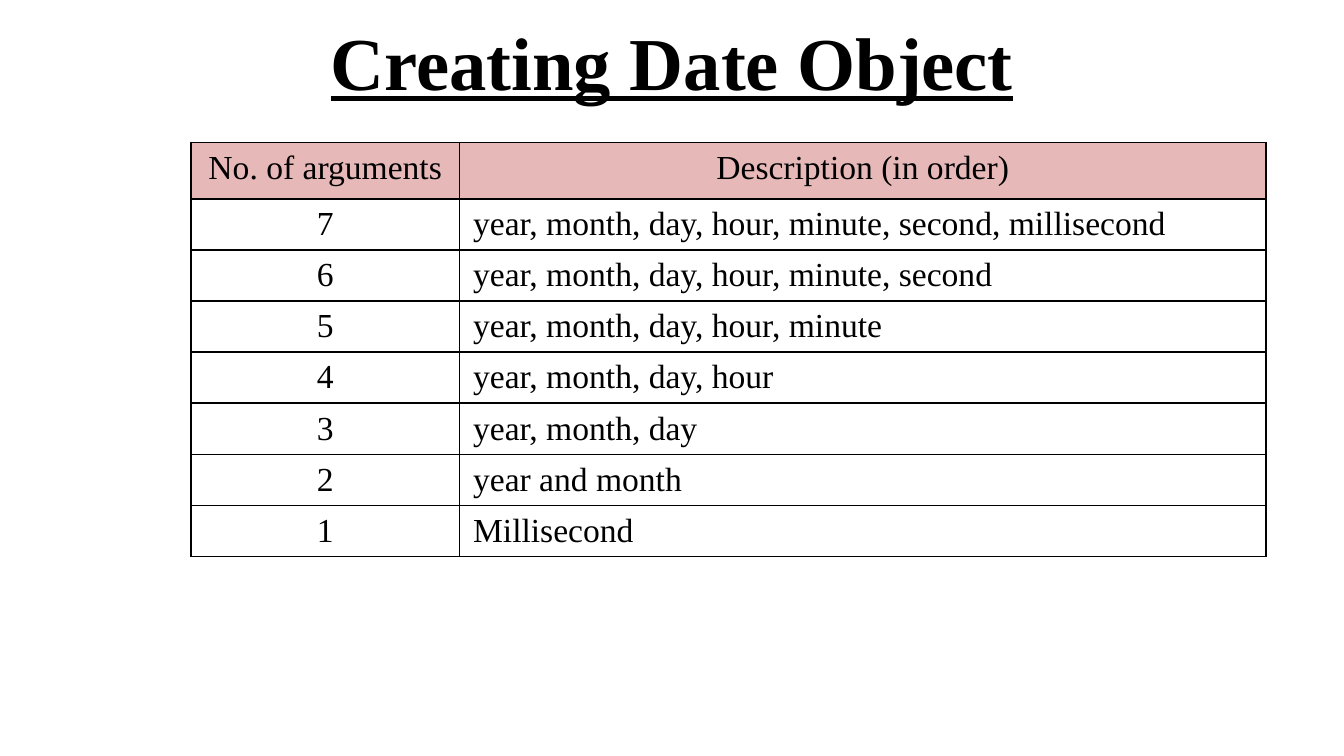
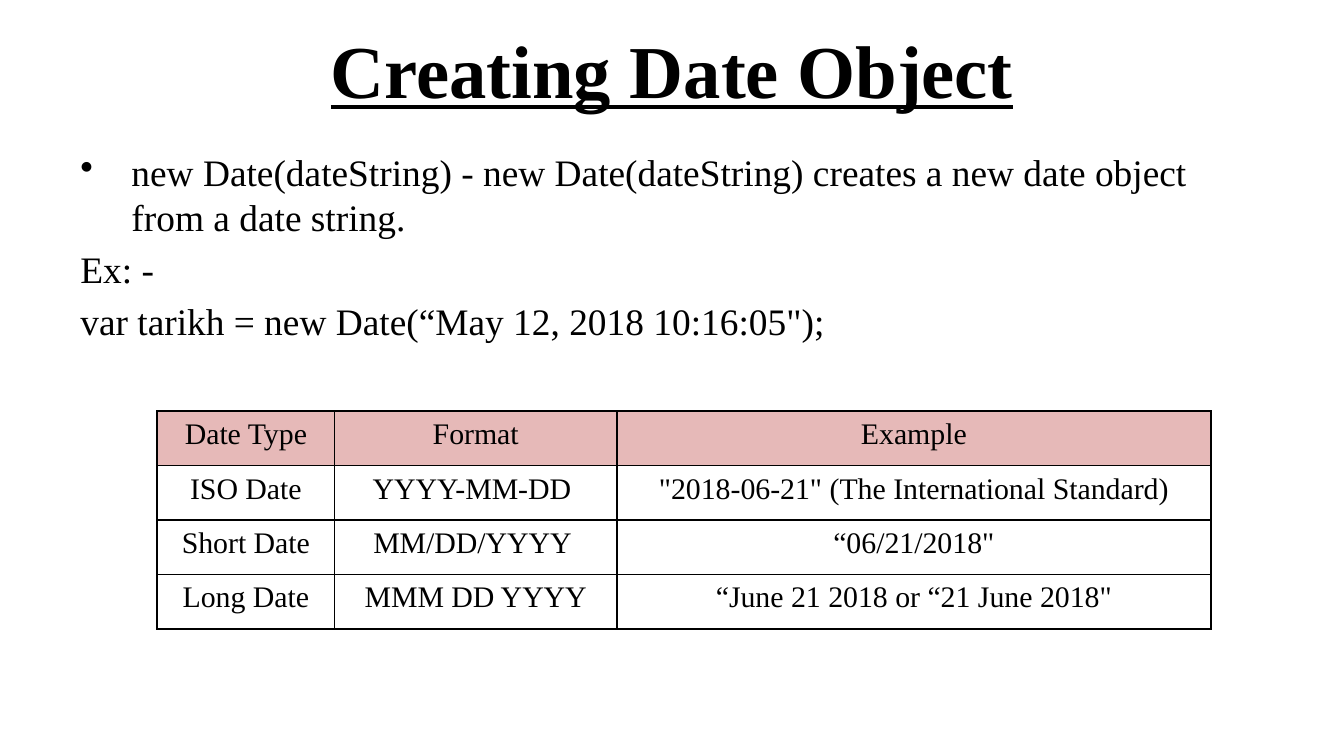
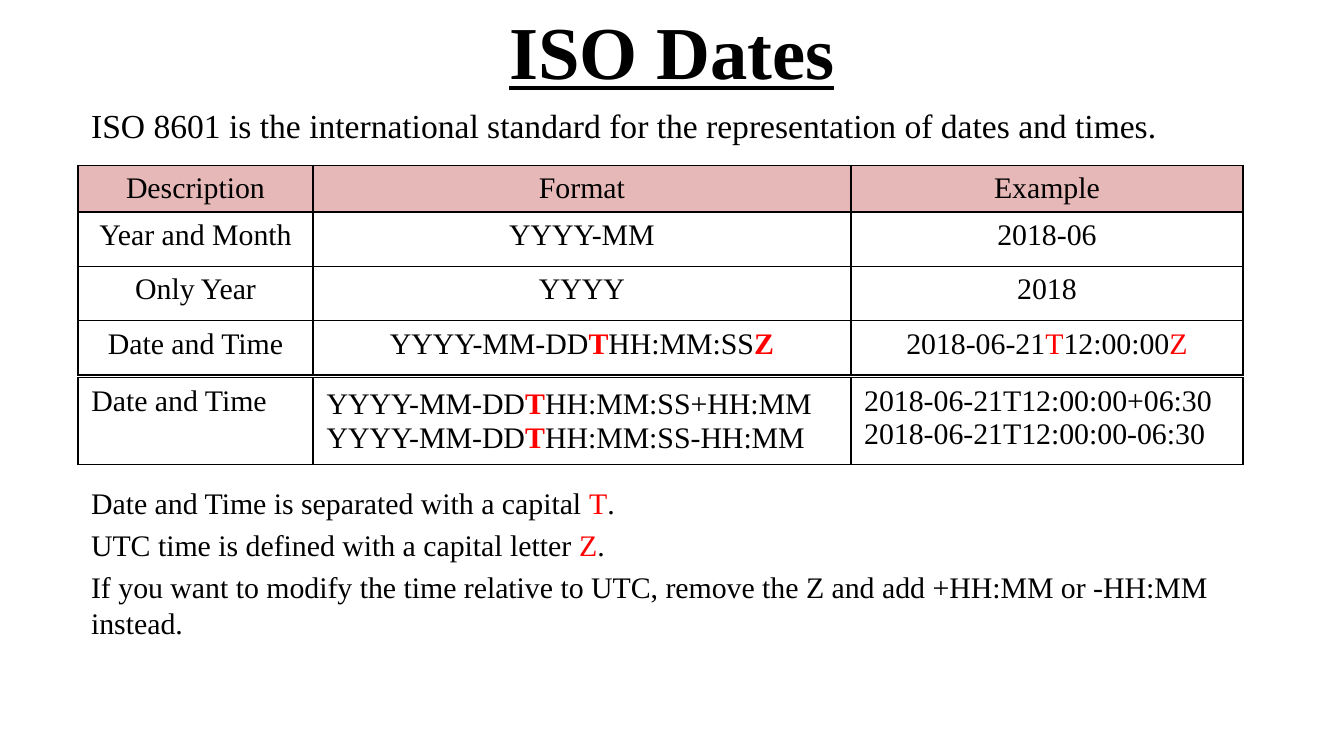
from lxml import etree
from pptx import Presentation
from pptx.dml.color import RGBColor
from pptx.enum import text as t
from pptx.oxml import ns
from pptx.util import Inches, Pt

COLORS = {"ink": "000000", "accent": "FF0000", "header": "E6B9B8"}
FONT = "Times New Roman"
CENTER, LEFT = t.PP_ALIGN.CENTER, t.PP_ALIGN.LEFT
ROW = 1.62 / 4


def rgb(name):
    return RGBColor.from_string(COLORS[name])


def add_bullet(p, indent):
    pPr = p._p.get_or_add_pPr()
    pPr.set("marL", str(Inches(indent)))
    pPr.set("indent", str(-Inches(indent)))
    etree.SubElement(pPr, ns.qn("a:buChar")).set("char", "•")


def write(tf, paragraphs, size=16, bold=False, underline=False, align=LEFT,
          before=0, bullets=()):
    for i, runs in enumerate(paragraphs):
        p = tf.paragraphs[0] if i == 0 else tf.add_paragraph()
        p.alignment = align
        if i and before:
            p.space_before = Pt(before)
        if i in bullets:
            add_bullet(p, 0.38)
        for run in [runs] if isinstance(runs, str) else runs:
            content, style = (run, {}) if isinstance(run, str) else run
            r = p.add_run()
            r.text = content
            r.font.name = FONT
            r.font.size = Pt(style.get("size", size))
            r.font.bold = style.get("bold", bold)
            r.font.underline = underline
            r.font.color.rgb = rgb(style.get("color", "ink"))


def add_borders(cell):
    tcPr = cell._tc.get_or_add_tcPr()
    for i, side in enumerate(("lnL", "lnR", "lnT", "lnB")):
        ln = etree.Element(ns.qn(f"a:{side}"), w=str(Pt(1)))
        fill = etree.SubElement(ln, ns.qn("a:solidFill"))
        etree.SubElement(fill, ns.qn("a:srgbClr")).set("val", COLORS["ink"])
        tcPr.insert(i, ln)


class Deck:
    def __init__(self):
        self.prs = Presentation()
        self.prs.slide_width = Inches(10)
        self.prs.slide_height = Inches(10 * 9 / 16)

    def slide(self, title, top):
        self.s = self.prs.slides.add_slide(self.prs.slide_layouts[6])
        tf = self.box(0.5, top, 9, 0.94)
        tf.vertical_anchor = t.MSO_ANCHOR.MIDDLE
        write(tf, [title], size=40, bold=True, underline=True, align=CENTER)

    def box(self, x, y, w, h):
        sp = self.s.shapes.add_textbox(*map(Inches, (x, y, w, h)))
        sp.text_frame.word_wrap = True
        return sp.text_frame

    def body(self, x, y, w, h, paragraphs, size, bullets=()):
        write(self.box(x, y, w, h), paragraphs, size=size, before=size * 0.2, bullets=bullets)

    def table(self, x, y, height, widths, heights, rows, size=16, aligns=(CENTER,) * 3,
              header=True):
        frame = self.s.shapes.add_table(
            len(rows), len(widths), Inches(x), Inches(y),
            Inches(sum(widths)), Inches(height))
        table = frame.table
        table.first_row = table.horz_banding = False
        for column, width in zip(table.columns, widths):
            column.width = Inches(width)
        for i, (row, row_height) in enumerate(zip(rows, heights)):
            table.rows[i].height = Inches(row_height)
            is_header = header and i == 0
            for j, content in enumerate(row):
                cell = table.cell(i, j)
                cell.margin_bottom = Inches(0.03)
                if is_header:
                    cell.fill.solid()
                    cell.fill.fore_color.rgb = rgb("header")
                else:
                    cell.fill.background()
                add_borders(cell)
                paragraphs = [content] if isinstance(content, str) else content
                write(cell.text_frame, paragraphs, size=size,
                      align=CENTER if is_header else aligns[j])
        frame.height = Inches(height)


def arguments_slide(deck):
    deck.slide("Creating Date Object", -0.02)
    parts = ["year", "month", "day", "hour", "minute", "second", "millisecond"]
    rows = [("No. of arguments", "Description (in order)")]
    rows += [(str(n), ", ".join(parts[:n])) for n in range(7, 2, -1)]
    rows += [("2", "year and month"), ("1", "Millisecond")]
    deck.table(1.42, 1.06, 3.22, [2, 6], [0.42] + [0.31] * 7, rows,
               size=18, aligns=(CENTER, LEFT))


def date_string_slide(deck):
    deck.slide("Creating Date Object", 0.04)
    deck.body(0.5, 1.06, 9, 1.75, [
        "new Date(dateString) - new Date(dateString) creates a new date object "
        "from a date string.",
        "Ex: -",
        "var tarikh = new Date(“May 12, 2018 10:16:05\");",
    ], size=20, bullets=(0,))
    deck.table(1.17, 3.06, 1.62, [1.32, 2.1, 4.42], [ROW] * 4, [
        ("Date Type", "Format", "Example"),
        ("ISO Date", "YYYY-MM-DD ", "\"2018-06-21\" (The International Standard)"),
        ("Short Date", "MM/DD/YYYY ", "“06/21/2018\""),
        ("Long Date", "MMM DD YYYY", "“June 21 2018 or “21 June 2018\""),
    ])


def iso_dates_slide(deck):
    red = {"color": "accent"}
    bold_red = {"color": "accent", "bold": True}
    bold_t = ("T", bold_red)
    widths = [1.75, 4, 2.92]
    deck.slide("ISO Dates", -0.1)
    deck.body(0.58, 0.73, 9, 0.67, [
        "ISO 8601 is the international standard for the representation of dates and times.",
    ], size=18)
    deck.table(0.58, 1.23, 1.58, widths, [0.32] + [ROW] * 3, [
        ("Description", "Format", "Example"),
        ("Year and Month", "YYYY-MM", "2018-06"),
        ("Only Year", "YYYY", "2018"),
        ("Date and Time",
         [["YYYY-MM-DD", bold_t, "HH:MM:SS", ("Z", bold_red)]],
         [["2018-06-21", ("T", red), "12:00:00", ("Z", red)]]),
    ])
    deck.body(0.58, 3.56, 9, 1.5, [
        ["Date and Time is separated with a capital ", ("T", red), "."],
        ["UTC time is defined with a capital letter ", ("Z", red), "."],
        "If you want to modify the time relative to UTC, remove the Z and add "
        "+HH:MM or -HH:MM instead.",
    ], size=16)
    deck.table(0.58, 2.81, 0.67, widths, [ROW], [
        ("Date and Time",
         [["YYYY-MM-DD", bold_t, "HH:MM:SS+HH:MM", (" ", {"size": 18})],
          ["YYYY-MM-DD", bold_t, "HH:MM:SS-HH:MM"]],
         [f"2018-06-21T12:00:00{sign}06:30" for sign in "+-"]),
    ], aligns=(LEFT,) * 3, header=False)


def main():
    deck = Deck()
    arguments_slide(deck)
    date_string_slide(deck)
    iso_dates_slide(deck)
    deck.prs.save("out.pptx")


if __name__ == "__main__":
    main()
